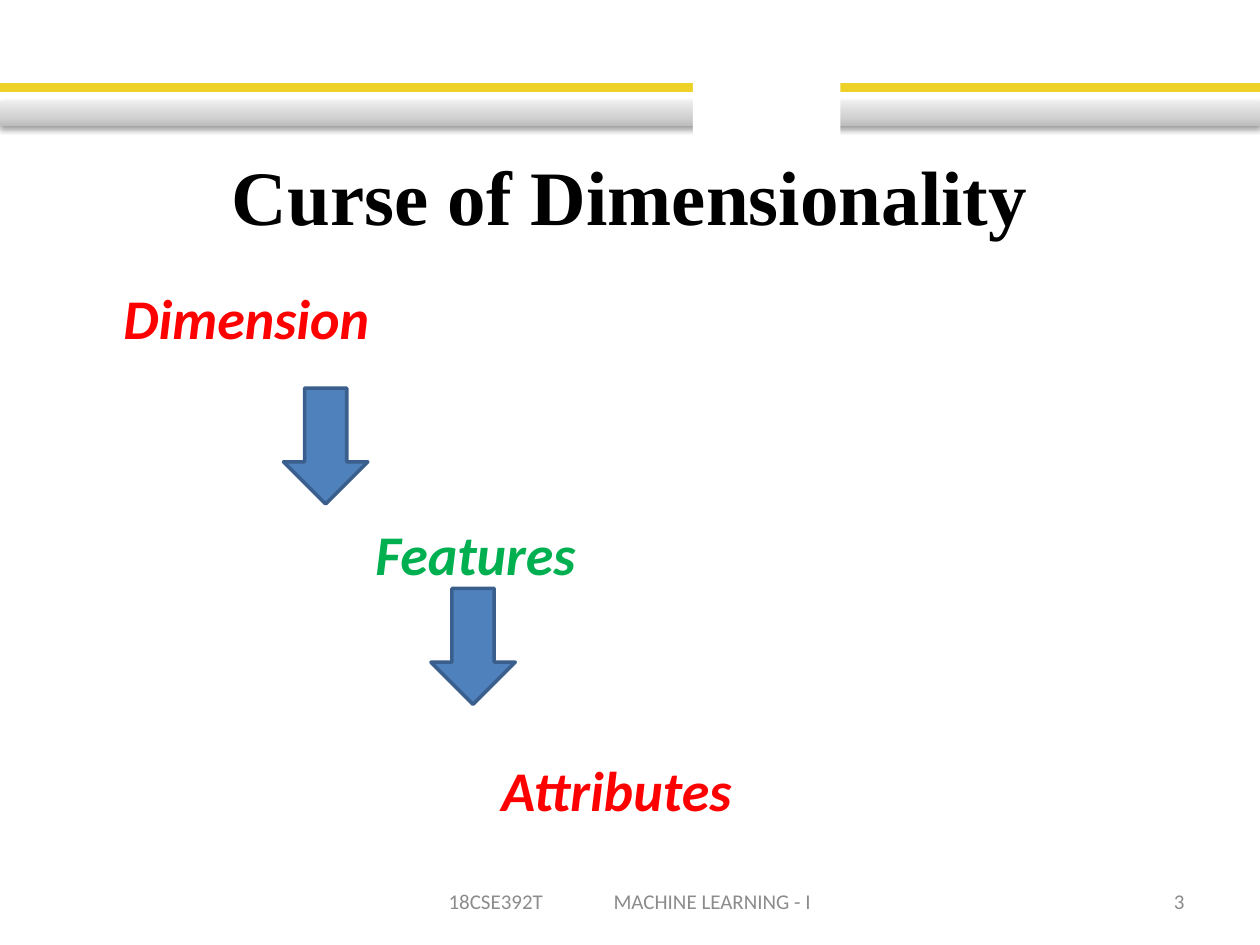
from copy import deepcopy

from lxml import etree
from pptx import Presentation
from pptx.dml.color import RGBColor
from pptx.enum.shapes import MSO_SHAPE
from pptx.enum.text import MSO_ANCHOR, PP_ALIGN
from pptx.oxml import parse_xml
from pptx.oxml.ns import nsdecls, qn
from pptx.util import Inches, Pt

RECT, ROUNDED, DOWN = MSO_SHAPE.RECTANGLE, MSO_SHAPE.ROUNDED_RECTANGLE, MSO_SHAPE.DOWN_ARROW
LEFT, CENTER, RIGHT = PP_ALIGN.LEFT, PP_ALIGN.CENTER, PP_ALIGN.RIGHT
MIDDLE = MSO_ANCHOR.MIDDLE

TITLE = "Curse of Dimensionality"
STEPS = [("Dimension", 0.98, "FF0000"), ("Features", 2.98, "00B050"), ("Attributes", 3.98, "FF0000")]
STEP_TOP, STEP_PITCH, STEP_SIZE = 2.22, 1.87, (3, 0.6)
ARROWS = [(2.25, 3.08), (3.42, 4.67)]
ARROW_SIZE = (0.67, 0.92)
FOOTER = "18CSE392T\tMACHINE LEARNING - I"
FOOTER_TAB = 1.31
PAGE_NUMBER = "3"
BAND_STOPS = [(0, "BDBDBD"), (0.35, "D1D1D1"), (1, "EEEEEE")]

TITLE_FONT = {"name": "Times New Roman", "size": Pt(44), "bold": True}
STEP_FONT = {"name": "Calibri", "size": Pt(32), "bold": True, "italic": True}
FOOTER_FONT = {"name": "Calibri", "size": Pt(12)}
FOOTER_COLOR = "8C8C8C"


def rgb(value):
    return RGBColor.from_string(value)


def add_block(slide, preset, box, fill, line=None):
    block = slide.shapes.add_shape(preset, *map(Inches, box))
    block.shadow.inherit = False
    block.fill.solid()
    block.fill.fore_color.rgb = rgb(fill)
    if line:
        block.line.color.rgb = rgb(line)
        block.line.width = Pt(2)
    else:
        block.line.fill.background()
    return block


def add_text(slide, text, box, font, color, align=LEFT, margin=0.1):
    label = slide.shapes.add_textbox(*map(Inches, box))
    frame = label.text_frame
    frame.word_wrap = True
    frame.vertical_anchor = MIDDLE
    frame.margin_left = frame.margin_right = Inches(margin)
    paragraph = frame.paragraphs[0]
    paragraph.alignment = align
    run = paragraph.add_run()
    run.text = text
    for key, value in font.items():
        setattr(run.font, key, value)
    run.font.color.rgb = rgb(color)
    return paragraph


def shade_band(band):
    """Give the band its three-stop upward gradient and a soft shadow below."""
    band.fill.gradient()
    band.fill.gradient_angle = 90
    properties = band.element.spPr
    stop_list = properties.find(".//" + qn("a:gsLst"))
    stop_list.insert(1, deepcopy(stop_list[0]))
    for stop, (position, color) in zip(band.fill.gradient_stops, BAND_STOPS):
        stop.position = position
        stop.color.rgb = rgb(color)
    properties.find(qn("a:effectLst")).append(parse_xml(
        f'<a:outerShdw {nsdecls("a")} blurRad="{Pt(3.1)}" dist="{Pt(1.6)}" dir="5400000" '
        'rotWithShape="0"><a:srgbClr val="000000"><a:alpha val="38000"/></a:srgbClr></a:outerShdw>'))


def add_tab_stop(paragraph, position):
    properties = paragraph._p.get_or_add_pPr()
    tabs = etree.SubElement(properties, qn("a:tabLst"))
    etree.SubElement(tabs, qn("a:tab"), pos=str(Inches(position)), algn="l")


def main():
    deck = Presentation()
    deck.slide_width, deck.slide_height = Inches(10), Inches(7.5)
    slide = deck.slides.add_slide(deck.slide_layouts[6])

    add_block(slide, RECT, (0, 0.67, 10, 0.05), "EED126", "EED126")
    shade_band(add_block(slide, RECT, (0, 0.8, 10, 0.2), "EEEEEE"))
    add_block(slide, ROUNDED, (5.5, 0.5, 1.17, 0.67), "FFFFFF")

    add_text(slide, TITLE, (0.5, 0.92, 9, 1.25), TITLE_FONT, "000000", CENTER)
    for row, (step, left, color) in enumerate(STEPS):
        box = (left, STEP_TOP + row * STEP_PITCH, *STEP_SIZE)
        add_text(slide, step, box, STEP_FONT, color, margin=0)
    for corner in ARROWS:
        add_block(slide, DOWN, (*corner, *ARROW_SIZE), "4F81BD", "3A5F8C")

    footer = add_text(slide, FOOTER, (3.42, 6.95, 3.17, 0.4), FOOTER_FONT, FOOTER_COLOR, margin=0.14)
    add_tab_stop(footer, FOOTER_TAB)
    add_text(slide, PAGE_NUMBER, (7.17, 6.95, 2.33, 0.4), FOOTER_FONT, FOOTER_COLOR, RIGHT)
    deck.save("out.pptx")


if __name__ == "__main__":
    main()
